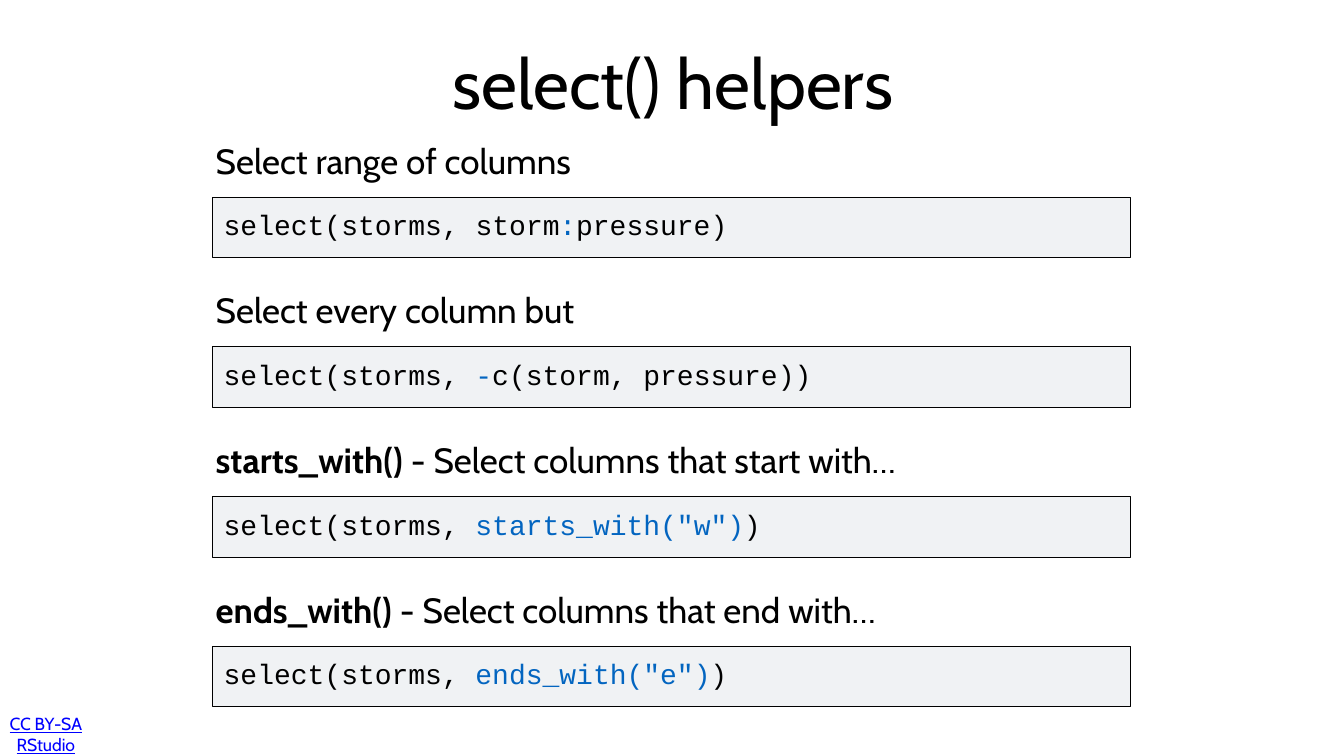
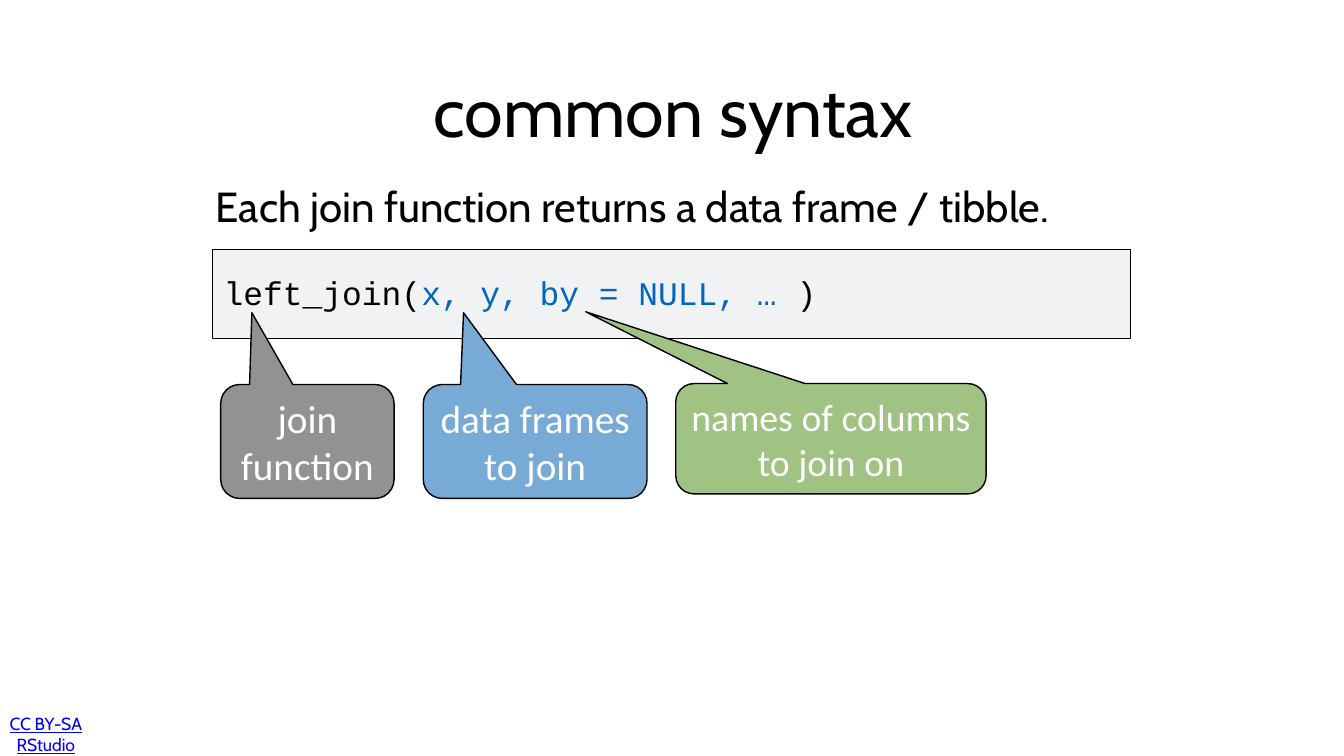
from dataclasses import dataclass

from pptx import Presentation
from pptx.dml.color import RGBColor
from pptx.enum.shapes import MSO_SHAPE
from pptx.enum.text import MSO_ANCHOR, MSO_AUTO_SIZE, PP_ALIGN
from pptx.util import Inches, Pt


@dataclass(frozen=True)
class Theme:
    # Fonts
    text_font: str = "Cabin"
    code_font: str = "Courier New"
    callout_font: str = "Calibri"
    # Colours
    black: str = "000000"
    white: str = "FFFFFF"
    accent: str = "0365C0"
    link: str = "0000FF"
    code_fill: str = "F0F2F4"
    gray: str = "929292"
    blue: str = "78AAD6"
    green: str = "A0C283"
    # Type sizes
    title_size: int = 100
    lead_size: int = 60
    heading_size: int = 50
    code_size: int = 40
    large_code_size: int = 47
    callout_size: int = 56
    small_callout_size: int = 54
    footer_size: int = 25


THEME = Theme()
LEFT = 4.22
BAR_WIDTH = 18.22


def style_frame(text_frame, margin=0.06, anchor=MSO_ANCHOR.MIDDLE):
    text_frame.auto_size = MSO_AUTO_SIZE.NONE
    text_frame.word_wrap = True
    text_frame.vertical_anchor = anchor
    text_frame.margin_left = text_frame.margin_right = Inches(margin)
    text_frame.margin_top = text_frame.margin_bottom = Inches(margin)


def style_font(font, name, size, color):
    font.name = name
    font.size = Pt(size)
    font.color.rgb = RGBColor.from_string(color)


def write_line(text_frame, text, name, size, color=THEME.black, align=PP_ALIGN.LEFT):
    """Write one paragraph and return its only run."""
    text_frame.text = text
    paragraph = text_frame.paragraphs[0]
    paragraph.alignment = align
    run = paragraph.runs[0]
    style_font(run.font, name, size, color)
    return run


def style_box(shape, fill, line_width):
    shape.shadow.inherit = False
    shape.fill.solid()
    shape.fill.fore_color.rgb = RGBColor.from_string(fill)
    shape.line.color.rgb = RGBColor.from_string(THEME.black)
    shape.line.width = Pt(line_width)


def add_text_box(shapes, left, top, width, height, **frame_style):
    box = shapes.add_textbox(Inches(left), Inches(top), Inches(width), Inches(height))
    style_frame(box.text_frame, **frame_style)
    return box.text_frame


def add_footer(slide):
    text_frame = add_text_box(slide.shapes, 0.08, 14.26, 1.66, 0.6, margin=0.08)
    run = write_line(text_frame, "CC BY-SA RStudio", THEME.text_font,
                     THEME.footer_size, THEME.link, PP_ALIGN.CENTER)
    run.font.underline = True


def add_titled_slide(presentation, title, top):
    slide = presentation.slides.add_slide(presentation.slide_layouts[5])
    add_footer(slide)
    shape = slide.shapes.title
    shape.left, shape.top = Inches(4.4), Inches(top)
    shape.width, shape.height = Inches(17.9), Inches(2.62)
    style_frame(shape.text_frame)
    write_line(shape.text_frame, title, THEME.text_font, THEME.title_size,
               align=PP_ALIGN.CENTER)
    return slide


def add_heading(shapes, top, text, size, bold_part=""):
    text_frame = add_text_box(shapes, LEFT, top, 18.23, 1.56)
    run = write_line(text_frame, bold_part or text, THEME.text_font, size)
    if bold_part:
        run.font.bold = True
        rest = text_frame.paragraphs[0].add_run()
        rest.text = text
        style_font(rest.font, THEME.text_font, size, THEME.black)


def add_code_bar(shapes, top, height, text_offset, code, size):
    """Draw a code bar; the middle one of the three code parts is accented."""
    bar = shapes.add_shape(MSO_SHAPE.RECTANGLE, Inches(LEFT), Inches(top),
                           Inches(BAR_WIDTH), Inches(height))
    style_box(bar, THEME.code_fill, 1)
    text_frame = add_text_box(shapes, LEFT + 0.16, top + text_offset, 17.24, 0.98,
                              anchor=MSO_ANCHOR.TOP)
    paragraph = text_frame.paragraphs[0]
    for part, color in zip(code, (THEME.black, THEME.accent, THEME.black)):
        run = paragraph.add_run()
        run.text = part
        style_font(run.font, THEME.code_font, size, color)


def add_callout(slide, left, top, width, height, pointer, fill, text, size):
    callout = slide.shapes.add_shape(
        MSO_SHAPE.ROUNDED_RECTANGULAR_CALLOUT,
        Inches(left), Inches(top), Inches(width), Inches(height))
    callout.adjustments[0], callout.adjustments[1] = pointer
    style_box(callout, fill, 2)
    style_frame(callout.text_frame, margin=0.08)
    write_line(callout.text_frame, text, THEME.callout_font, size,
               THEME.white, PP_ALIGN.CENTER)


def build_helpers_slide(presentation):
    slide = add_titled_slide(presentation, "select() helpers", 0.3)
    helpers = [
        ("", "Select range of columns",
         ("select(storms, storm", ":", "pressure)")),
        ("", "Select every column but",
         ("select(storms, ", "-", "c(storm, pressure))")),
        ("starts_with()", " - Select columns that start with…",
         ("select(storms, ", 'starts_with("w")', ")")),
        ("ends_with()", " - Select columns that end with…",
         ("select(storms, ", 'ends_with("e")', ")")),
    ]
    for row, (function_name, description, code) in enumerate(helpers):
        top = 2.4 + row * 2.97
        group = slide.shapes.add_group_shape()
        add_heading(group.shapes, top, description, THEME.heading_size, function_name)
        add_code_bar(group.shapes, top + 1.51, 1.2, 0.15, code, THEME.code_size)


def build_syntax_slide(presentation):
    slide = add_titled_slide(presentation, "common syntax", 0.86)
    add_heading(slide.shapes, 3.3, "Each join function returns a data frame / tibble.",
                THEME.lead_size)
    add_code_bar(slide.shapes, 4.95, 1.77, 0.4,
                 ("left_join(", "x, y, by = NULL, … ", ")"), THEME.large_code_size)
    # Callouts pointing at the parts of the call
    add_callout(slide, 4.38, 7.63, 3.44, 2.26, (-0.32, -1.13), THEME.gray,
                "join function", THEME.callout_size)
    add_callout(slide, 8.4, 7.63, 4.44, 2.26, (-0.32, -1.13), THEME.blue,
                "data frames to join", THEME.callout_size)
    add_callout(slide, 13.41, 7.61, 6.16, 2.19, (-0.79, -1.15), THEME.green,
                "names of columns to join on", THEME.small_callout_size)


def main():
    presentation = Presentation()
    presentation.slide_width = Inches(26.67)
    presentation.slide_height = Inches(15)
    build_helpers_slide(presentation)
    build_syntax_slide(presentation)
    presentation.save("out.pptx")


if __name__ == "__main__":
    main()
